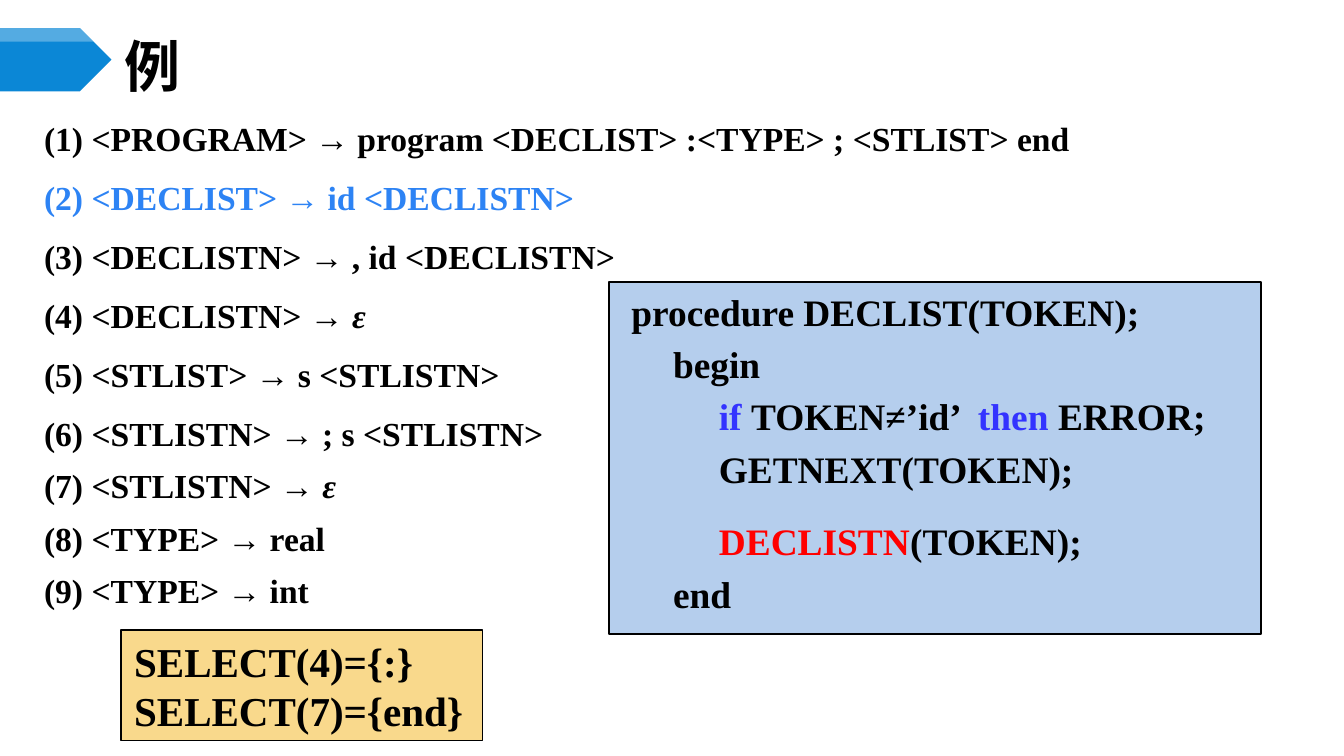
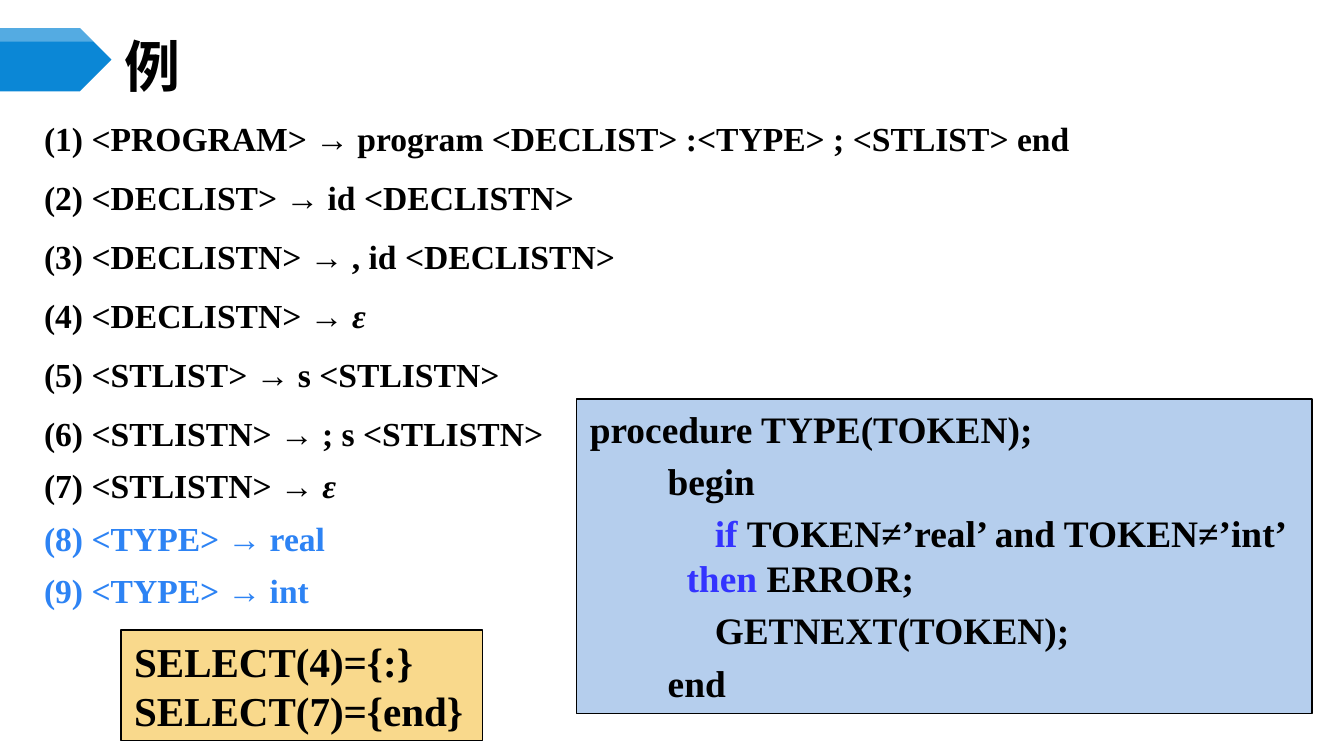
import pptx
import pptx.util
import pptx.dml.color
import pptx.enum.shapes
import pptx.enum.text
import pptx.oxml.ns
from lxml import etree

Inches = pptx.util.Inches
Pt = pptx.util.Pt
RGBColor = pptx.dml.color.RGBColor
SHAPES = pptx.enum.shapes.MSO_SHAPE
ANCHOR = pptx.enum.text.MSO_ANCHOR
qn = pptx.oxml.ns.qn

BLACK = RGBColor(0x00, 0x00, 0x00)
WHITE = RGBColor(0xFF, 0xFF, 0xFF)
BAND_BLUE = RGBColor(0x0B, 0x87, 0xD6)
HIGHLIGHT = RGBColor(0x2D, 0x83, 0xF4)
KEYWORD = RGBColor(0x33, 0x33, 0xFF)
CALL_RED = RGBColor(0xFF, 0x00, 0x00)
CODE_FILL = RGBColor(0xB5, 0xCE, 0xED)
SELECT_FILL = RGBColor(0xF9, 0xD9, 0x8C)

BODY_FONT = "Times New Roman"
TITLE_FONT = "Noto Sans CJK SC"

EPSILON = ("ε", {"italic": True})
GRAMMAR = [
    ["(1) <PROGRAM> → program <DECLIST> :<TYPE> ; <STLIST> end"],
    ["(2) <DECLIST> → id <DECLISTN>"],
    ["(3) <DECLISTN> → , id <DECLISTN>"],
    ["(4) <DECLISTN> → ", EPSILON],
    ["(5) <STLIST> → s <STLISTN>"],
    ["(6) <STLISTN> → ; s <STLISTN>"],
    ["(7) <STLISTN> → ", EPSILON],
    ["(8) <TYPE> → real"],
    ["(9) <TYPE> → int"],
]
LAST_SPACED_RULE = 6

SLIDE_WIDTH = 10
SLIDE_HEIGHT = SLIDE_WIDTH * 9 / 16
GRAMMAR_BOX = (0.23, 0.74, 9.53, 3.9)
SELECT_BOX = (0.9, 4.69, 2.69, 0.82)
BAND_BOX = (0, 0.21, 0.83, 0.47)


def inches(box):
    return [Inches(value) for value in box]


def add_text(frame, pieces, size=18, color=BLACK, font=BODY_FONT, before=0,
             line=None, left=0, first=0):
    """Add one paragraph; a piece is a string or (string, run format)."""
    paragraph = frame.paragraphs[0]
    if paragraph.runs:
        paragraph = frame.add_paragraph()
    paragraph.alignment = pptx.enum.text.PP_ALIGN.LEFT
    paragraph.space_before = Pt(before)
    if line:
        paragraph.line_spacing = Pt(line)
    properties = paragraph._p.get_or_add_pPr()
    properties.set("marL", str(Inches(left)))
    properties.set("indent", str(Inches(first)))
    for piece in pieces:
        text, style = (piece, {}) if isinstance(piece, str) else piece
        run = paragraph.add_run()
        run.text = text
        run.font.name = font
        run.font.size = Pt(size)
        run.font.bold = True
        run.font.italic = style.get("italic", False)
        run.font.color.rgb = style.get("color", color)
        east_asian = etree.SubElement(run._r.get_or_add_rPr(), qn("a:ea"))
        east_asian.set("typeface", font)


def add_panel(slide, box, fill, anchor):
    """Outlined rectangle whose text frame is returned."""
    shape = slide.shapes.add_shape(SHAPES.RECTANGLE, *inches(box))
    shape.shadow.inherit = False
    shape.fill.solid()
    shape.fill.fore_color.rgb = fill
    shape.line.color.rgb = BLACK
    shape.line.width = Pt(1)
    shape.text_frame.word_wrap = True
    shape.text_frame.vertical_anchor = anchor
    return shape.text_frame


def add_text_box(slide, box, anchor):
    frame = slide.shapes.add_textbox(*inches(box)).text_frame
    frame.word_wrap = True
    frame.vertical_anchor = anchor
    return frame


def add_title_band(slide, box):
    left, top, width, height = box
    arrow = slide.shapes.add_shape(SHAPES.PENTAGON, *inches(box))
    # Lighter strip along the upper edge, cut by the arrow's slope
    strip = 0.1
    neck = left + width - height / 2
    builder = slide.shapes.build_freeform(Inches(left), Inches(top))
    builder.add_line_segments([
        (Inches(neck), Inches(top)),
        (Inches(neck + strip), Inches(top + strip)),
        (Inches(left), Inches(top + strip)),
    ])
    shine = builder.convert_to_shape()
    for shape, color in ((arrow, BAND_BLUE), (shine, WHITE)):
        shape.shadow.inherit = False
        shape.fill.solid()
        shape.fill.fore_color.rgb = color
        shape.line.fill.background()
    solid = shine._element.spPr.find(qn("a:solidFill"))
    etree.SubElement(solid[0], qn("a:alpha")).set("val", "30000")


def add_title(slide, box, text):
    frame = add_text_box(slide, box, ANCHOR.MIDDLE)
    add_text(frame, [text], size=30, font=TITLE_FONT)


def add_select_sets(slide, box):
    frame = add_panel(slide, box, SELECT_FILL, ANCHOR.MIDDLE)
    for text in ("SELECT(4)={:}", "SELECT(7)={end}"):
        add_text(frame, [text], size=22)


def add_grammar(slide, box, highlighted):
    frame = add_text_box(slide, box, ANCHOR.TOP)
    for number, pieces in enumerate(GRAMMAR, start=1):
        add_text(frame, pieces, line=28, left=0.38, first=-0.38,
                 before=3.6 if number <= LAST_SPACED_RULE else 0,
                 color=HIGHLIGHT if number in highlighted else BLACK)


def add_procedure(slide, box, lines):
    """Each line is its pieces and its paragraph format."""
    frame = add_panel(slide, box, CODE_FILL, ANCHOR.TOP)
    for pieces, layout in lines:
        add_text(frame, pieces, **{"size": 20, "before": 4, **layout})


def add_example_slide(presentation, title_width, highlighted, code_box, code):
    slide = presentation.slides.add_slide(presentation.slide_layouts[6])
    add_title_band(slide, BAND_BOX)
    add_select_sets(slide, SELECT_BOX)
    add_title(slide, (0.83, 0.29, title_width, 0.39), "例")
    add_grammar(slide, GRAMMAR_BOX, highlighted)
    add_procedure(slide, code_box, code)


IF = ("if ", {"color": KEYWORD})

DECLIST_CODE = [
    (["procedure DECLIST(TOKEN);"], {"left": 0.07}),
    (["begin"], {"left": 0.38}),
    ([IF, "TOKEN≠’id’ ", (" then ", {"color": KEYWORD}), "ERROR;"],
     {"left": 0.72}),
    (["GETNEXT(TOKEN);"], {"left": 0.72}),
    ([("DECLISTN", {"color": CALL_RED}), "(TOKEN);"],
     {"left": 0.72, "before": 15}),
    (["end"], {"left": 0.38}),
]

TYPE_CODE = [
    (["procedure TYPE(TOKEN);"], {}),
    (["begin"], {"left": 0.58}),
    ([IF, "TOKEN≠’real’ and TOKEN≠’int’ ", ("then", {"color": KEYWORD}),
      " ERROR;"], {"left": 0.72, "first": 0.21}),
    (["GETNEXT(TOKEN);"], {"left": 0.93}),
    (["end"], {"left": 0.58}),
]

presentation = pptx.Presentation()
presentation.slide_width = Inches(SLIDE_WIDTH)
presentation.slide_height = Inches(SLIDE_HEIGHT)

add_example_slide(presentation, 8.67, {2}, (4.53, 2.1, 4.85, 2.62), DECLIST_CODE)
add_example_slide(presentation, 4.33, {8, 9}, (4.29, 2.97, 5.47, 2.34), TYPE_CODE)

presentation.save("out.pptx")
